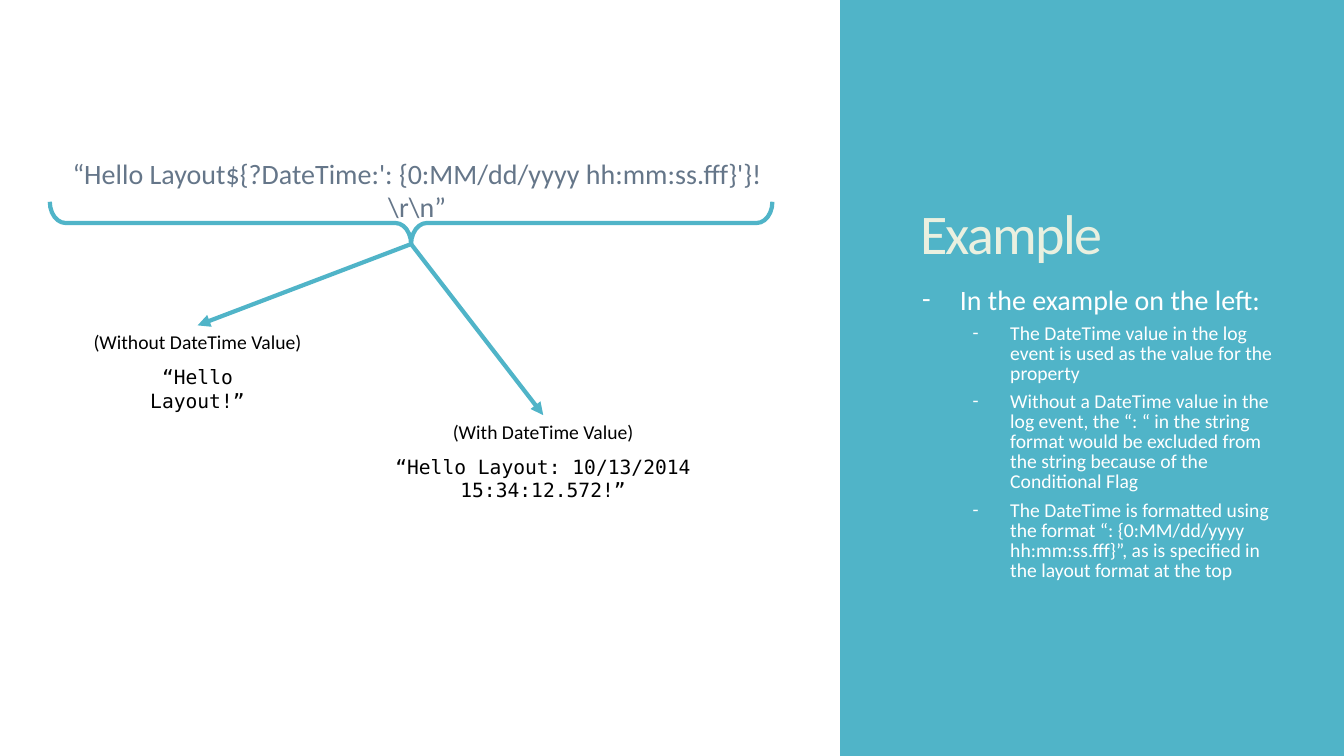
import pptx
import pptx.dml.color
import pptx.enum.shapes
import pptx.enum.text
import pptx.oxml.ns
import pptx.util
from pptx.util import Cm

TEAL = "50B4C8"
WHITE = "FFFFFF"
BLACK = "000000"
SLATE = "657689"
CREAM = "EAF0E0"
MONO = "DejaVu Sans Mono"

ALIGN = pptx.enum.text.PP_ALIGN
ANCHOR = pptx.enum.text.MSO_ANCHOR
SHAPE = pptx.enum.shapes.MSO_SHAPE

LAYOUT_STRING = "“Hello Layout${?DateTime:': {0:MM/dd/yyyy hh:mm:ss.fff}'}!\\r\\n”"
DETAILS = [
    "The DateTime value in the log event is used as the value for the property",
    "Without a DateTime value in the log event, the “: “ in the string format "
    "would be excluded from the string because of the Conditional Flag",
    "The DateTime is formatted using the format “: {0:MM/dd/yyyy hh:mm:ss.fff}”, "
    "as is specified in the layout format at the top",
]


def color(hex_code):
    return pptx.dml.color.RGBColor.from_string(hex_code)


def add_child(parent, tag, **attributes):
    child = parent.makeelement(pptx.oxml.ns.qn(tag), attributes)
    parent.append(child)
    return child


def add_frame(slide, left, top, width, height, anchor=ANCHOR.TOP):
    """Add an empty wrapping text box (lengths in cm) and return its text frame."""
    frame = slide.shapes.add_textbox(Cm(left), Cm(top), Cm(width), Cm(height)).text_frame
    frame.word_wrap = True
    frame.vertical_anchor = anchor
    return frame


def write(frame, text, size=14, font="Calibri", ink=BLACK, align=ALIGN.LEFT,
          line_spacing=None, before=None, dash_indent=None, tracking=None):
    """Write one paragraph; dash_indent is the text indent (cm) of a dashed item."""
    unused = not frame.paragraphs[0].runs
    paragraph = frame.paragraphs[0] if unused else frame.add_paragraph()
    paragraph.alignment = align
    if line_spacing:
        paragraph.line_spacing = line_spacing
    if before:
        paragraph.space_before = pptx.util.Pt(before)
    if dash_indent:
        properties = paragraph._p.get_or_add_pPr()
        properties.set("marL", str(Cm(dash_indent)))
        properties.set("indent", str(-Cm(0.95)))
        add_child(properties, "a:buFont", typeface="Calibri")
        add_child(properties, "a:buChar", char="-")
    run = paragraph.add_run()
    run.text = text
    run.font.size = pptx.util.Pt(size)
    run.font.name = font
    run.font.color.rgb = color(ink)
    if tracking:
        run._r.get_or_add_rPr().set("spc", str(tracking))


def add_side_panel(slide):
    panel = slide.shapes.add_shape(SHAPE.RECTANGLE, Cm(21.17), 0, Cm(12.7), Cm(19.05))
    panel.shadow.inherit = False
    panel.fill.solid()
    panel.fill.fore_color.rgb = color(TEAL)
    panel.line.fill.background()

    title = add_frame(slide, 22.94, 1.5, 9.4, 5.33, anchor=ANCHOR.BOTTOM)
    write(title, "Example", size=40, ink=CREAM, line_spacing=0.85, tracking=-120)

    body = add_frame(slide, 22.99, 6.99, 9.45, 8.69)
    write(body, "In the example on the left:", size=20, ink=WHITE, dash_indent=0.95)
    for detail in DETAILS:
        write(body, detail, ink=WHITE, line_spacing=0.85, before=6, dash_indent=2.22)


def add_brace(slide, center, middle, span, depth):
    """Add a brace that opens upwards; it is a right brace turned a quarter."""
    brace = slide.shapes.add_shape(
        SHAPE.RIGHT_BRACE, Cm(center - depth / 2), Cm(middle - span / 2), Cm(depth), Cm(span))
    brace.rotation = 90
    brace.adjustments[0] = 0.37
    brace.adjustments[1] = 0.5
    brace.shadow.inherit = False
    brace.fill.background()
    brace.line.color.rgb = color(TEAL)
    brace.line.width = pptx.util.Pt(3)


def add_arrow(slide, start, end):
    arrow = slide.shapes.add_connector(
        pptx.enum.shapes.MSO_CONNECTOR.STRAIGHT, *map(Cm, start + end))
    arrow.line.color.rgb = color(TEAL)
    arrow.line.width = pptx.util.Pt(3)
    add_child(arrow.line._get_or_add_ln(), "a:tailEnd", type="triangle")
    add_child(arrow._element.spPr, "a:effectLst")


def add_result(slide, brace_tip, tip, caption, output, output_width):
    """Add an arrow to tip with a caption and the formatted output centred below."""
    center, top = tip
    caption_width, row = 6.4, 0.87
    add_arrow(slide, brace_tip, tip)
    caption_frame = add_frame(slide, center - caption_width / 2, top, caption_width, row)
    write(caption_frame, caption, align=ALIGN.CENTER)
    output_frame = add_frame(slide, center - output_width / 2, top + row, output_width, row)
    write(output_frame, output, font=MONO, align=ALIGN.CENTER)


def main():
    presentation = pptx.Presentation()
    presentation.slide_width = Cm(33.87)
    presentation.slide_height = Cm(19.05)
    slide = presentation.slides.add_slide(presentation.slide_layouts[6])

    add_side_panel(slide)
    layout_frame = add_frame(slide, 0.94, 3.81, 19.15, 1.12)
    write(layout_frame, LAYOUT_STRING, size=20, ink=SLATE, align=ALIGN.CENTER)

    brace_tip = (10.36, 6.15)
    add_result(slide, brace_tip, (4.98, 8.2), "(Without DateTime Value)",
               "“Hello Layout!”", 4.65)
    add_result(slide, brace_tip, (13.69, 10.46), "(With DateTime Value)",
               "“Hello Layout: 10/13/2014 15:34:12.572!”", 11.56)
    add_brace(slide, center=10.36, middle=5.62, span=18.21, depth=1.07)

    presentation.save("out.pptx")


if __name__ == "__main__":
    main()
